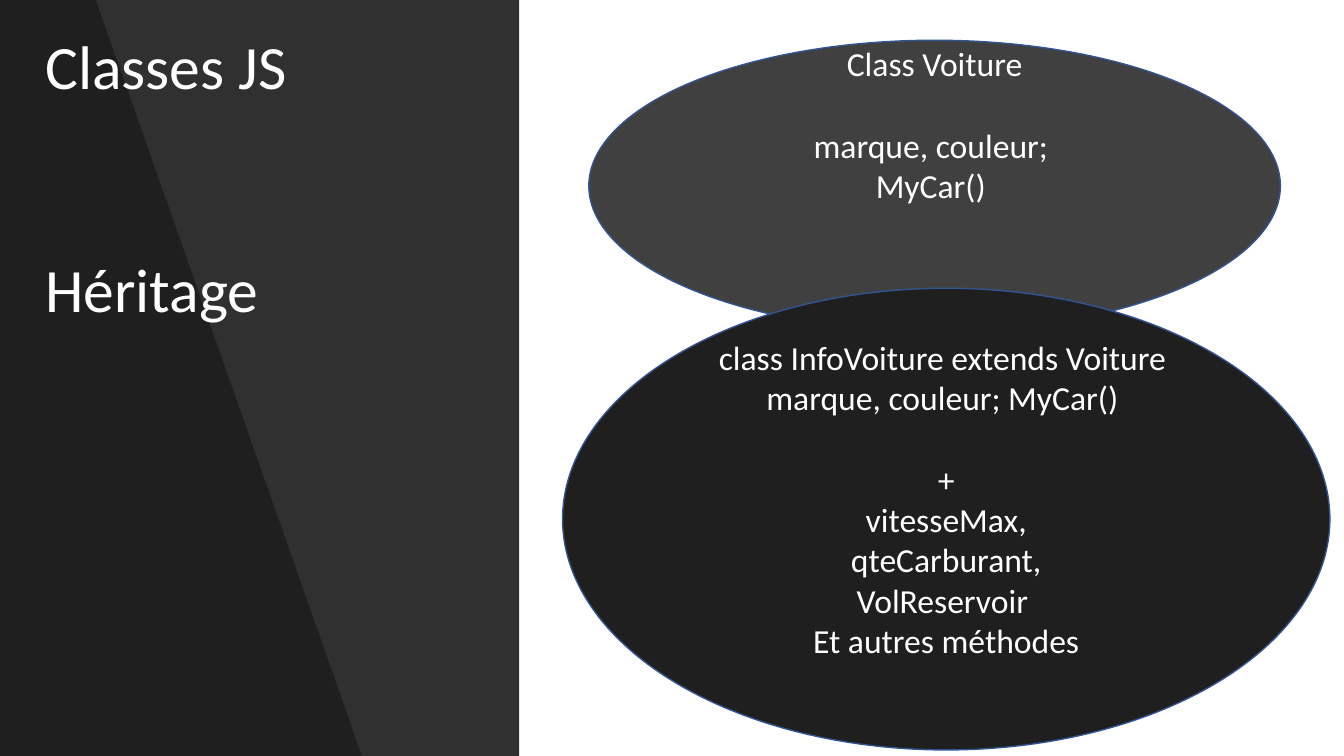
import pptx
import pptx.util
import pptx.dml.color
import pptx.enum.shapes
import pptx.enum.text
import pptx.oxml.ns
import lxml.etree

RGBColor = pptx.dml.color.RGBColor
BLACK = RGBColor(0x00, 0x00, 0x00)
WHITE = RGBColor(0xFF, 0xFF, 0xFF)
GREY = RGBColor(0x40, 0x40, 0x40)
DARK = RGBColor(0x1F, 0x1F, 0x1F)
BLUE = RGBColor(0x32, 0x54, 0x91)

FONT = "Calibri"
LINE_HEIGHT = 1.22
WIDTH = pptx.util.Inches(13.33)
HEIGHT = pptx.util.Inches(7.5)

PANEL = (0, 0, 38.63, 100)
WEDGE = [(0, 0), (7.13, 0), (26.93, 100), (0, 100)]
TITLES = [
    {"text": "Héritage", "box": (2.63, 27.6, 28.96, 29.73), "lift": 0.75},
    {"text": "Classes JS", "box": (2.63, -3.87, 31.88, 26.27), "lift": 0},
]
CLASSES = [
    {"box": (43.81, 5.33, 51.46, 38.53), "fill": GREY, "lift": 3,
     "groups": [["Class Voiture"], ["marque, couleur; ", "MyCar() "]]},
    {"box": (41.86, 38.13, 57.09, 61.07), "fill": DARK, "lift": 1,
     "groups": [["class InfoVoiture extends Voiture ", "marque, couleur; MyCar() "],
                ["+", "vitesseMax,", "qteCarburant,", "VolReservoir ", "Et autres méthodes"]]},
]


def place(x, y):
    return round(WIDTH * x / 100), round(HEIGHT * y / 100)


def frame(box):
    return place(*box[:2]) + place(*box[2:])


def paint(s, color, opacity=100):
    s.shadow.inherit = False
    s.fill.solid()
    s.fill.fore_color.rgb = color
    s.line.fill.background()
    if opacity < 100:
        clr = s.fill._xPr.find(".//" + pptx.oxml.ns.qn("a:srgbClr"))
        alpha = lxml.etree.SubElement(clr, pptx.oxml.ns.qn("a:alpha"))
        alpha.set("val", str(opacity * 1000))


def write(s, groups, size, align, lift, spacing=1.0):
    tf = s.text_frame
    tf.word_wrap = True
    tf.vertical_anchor = pptx.enum.text.MSO_ANCHOR.MIDDLE
    line = size * LINE_HEIGHT
    tf.margin_bottom = pptx.util.Inches(0.05) + pptx.util.Pt(lift * line)
    p = None
    for group in groups:
        for i, text in enumerate(group):
            starts_group = p is not None and i == 0
            p = tf.paragraphs[0] if p is None else tf.add_paragraph()
            p.alignment = align
            p.line_spacing = spacing
            if starts_group:
                p.space_before = pptx.util.Pt(line)
            r = p.add_run()
            r.text = text
            r.font.name = FONT
            r.font.size = pptx.util.Pt(size)
            r.font.color.rgb = WHITE


def main():
    prs = pptx.Presentation()
    prs.slide_width, prs.slide_height = WIDTH, HEIGHT
    shapes = prs.slides.add_slide(prs.slide_layouts[6]).shapes
    kinds = pptx.enum.shapes.MSO_SHAPE
    aligns = pptx.enum.text.PP_ALIGN

    paint(shapes.add_shape(kinds.RECTANGLE, *frame(PANEL)), BLACK, 81)

    corners = [place(*corner) for corner in WEDGE]
    builder = shapes.build_freeform(*corners[0])
    builder.add_line_segments(corners[1:], close=True)
    paint(builder.convert_to_shape(), BLACK, 35)

    for title in TITLES:
        s = shapes.add_textbox(*frame(title["box"]))
        write(s, [[title["text"]]], 44, aligns.LEFT, title["lift"], 0.9)

    for item in CLASSES:
        s = shapes.add_shape(kinds.OVAL, *frame(item["box"]))
        paint(s, item["fill"])
        s.line.color.rgb = BLUE
        s.line.width = pptx.util.Pt(1)
        write(s, item["groups"], 24, aligns.CENTER, item["lift"])

    prs.save("out.pptx")


if __name__ == "__main__":
    main()
